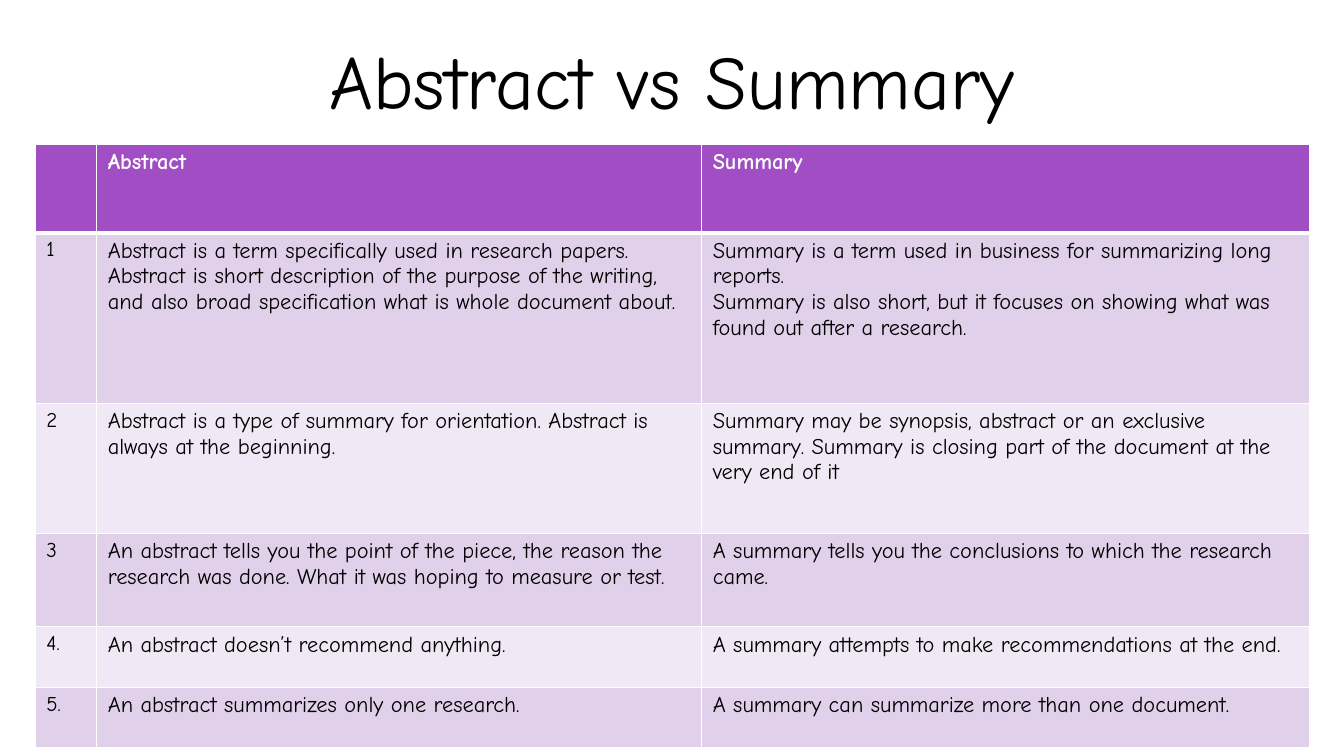
from lxml import etree
from pptx import Presentation
from pptx import util as u
from pptx.dml.color import RGBColor
from pptx.enum import text
from pptx.oxml import ns

PX = 9144  # EMU per px, 100 px to the inch
FONT = "Comic Neue"
WHITE = RGBColor(0xFF, 0xFF, 0xFF)
BLACK = RGBColor(0x00, 0x00, 0x00)
PURPLE = RGBColor(0xA1, 0x4D, 0xC3)
LILAC = RGBColor(0xE0, 0xD0, 0xE9)
PALE = RGBColor(0xF0, 0xE9, 0xF5)

COLUMN_WIDTHS = [61, 600, 603]
ROW_HEIGHTS = [88, 169, 129, 93, 60, 60]
ROWS = [
    ("", "Abstract", "Summary"),
    ("1",
     "Abstract is a term specifically used in research papers.\n"
     "Abstract is short description of the purpose of the writing, "
     "and also broad specification what is whole document about.",
     "Summary is a term used in business for summarizing long reports.\n"
     "Summary is also short, but it focuses on showing what was found out "
     "after a research."),
    ("2",
     "Abstract is a type of summary for orientation. Abstract is always at the beginning.",
     "Summary may be synopsis, abstract or an exclusive summary. "
     "Summary is closing part of the document at the very end of it"),
    ("3",
     "An abstract tells you the point of the piece, the reason the research was done. "
     "What it was hoping to measure or test.",
     "A summary tells you the conclusions to which the research came."),
    ("4.", "An abstract doesn’t recommend anything.",
     "A summary attempts to make recommendations at the end."),
    ("5.", "An abstract summarizes only one research.",
     "A summary can summarize more than one document."),
]


def format_font(font, size, color, bold=False):
    values = {"name": FONT, "size": u.Pt(size), "bold": bold}
    for name, value in values.items():
        setattr(font, name, value)
    font.color.rgb = color


def add_border(cell, side, points):
    properties = cell._tc.get_or_add_tcPr()
    line = etree.SubElement(properties, ns.qn(f"a:ln{side}"), w=str(u.Pt(points)))
    fill = etree.SubElement(line, ns.qn("a:solidFill"))
    etree.SubElement(fill, ns.qn("a:srgbClr"), val=str(WHITE))


# Page
deck = Presentation()
deck.slide_width = 1333 * PX
deck.slide_height = 750 * PX
page = deck.slides.add_slide(deck.slide_layouts[5])
page.background.fill.solid()
page.background.fill.fore_color.rgb = WHITE

# Title
title = page.shapes.title
title_box = {"left": 70, "top": 26, "width": 1193, "height": 105}
for name, value in title_box.items():
    setattr(title, name, value * PX)
frame = title.text_frame
frame.text = "Abstract vs Summary"
frame.auto_size = text.MSO_AUTO_SIZE.NONE
frame.vertical_anchor = text.MSO_ANCHOR.MIDDLE
para = frame.paragraphs[0]
para.alignment = text.PP_ALIGN.CENTER
format_font(para.runs[0].font, 54, BLACK)

# Comparison table
table = page.shapes.add_table(
    len(ROWS), len(COLUMN_WIDTHS), 35 * PX, 143 * PX,
    sum(COLUMN_WIDTHS) * PX, sum(ROW_HEIGHTS) * PX).table
for column, width in zip(table.columns, COLUMN_WIDTHS):
    column.width = width * PX
for row, height in zip(table.rows, ROW_HEIGHTS):
    row.height = height * PX

margins = {"margin_left": 11, "margin_right": 11, "margin_top": 5, "margin_bottom": 5}
for row_index, row_texts in enumerate(ROWS):
    header = row_index == 0
    row_fill = PURPLE if header else (LILAC if row_index % 2 else PALE)
    for column_index, wording in enumerate(row_texts):
        cell = table.cell(row_index, column_index)
        for name, value in margins.items():
            setattr(cell, name, value * PX)

        # White grid, heavier under the header
        borders = {"L": 1, "R": 1, "T": 3 if row_index == 1 else 1, "B": 3 if header else 1}
        for side, points in borders.items():
            add_border(cell, side, points)
        cell.fill.solid()
        cell.fill.fore_color.rgb = row_fill

        # Wording
        cell.text_frame.text = wording
        size = 16 if column_index else 15
        for para in cell.text_frame.paragraphs:
            for span in para.runs:
                format_font(span.font, size, WHITE if header else BLACK, header)

deck.save("out.pptx")
